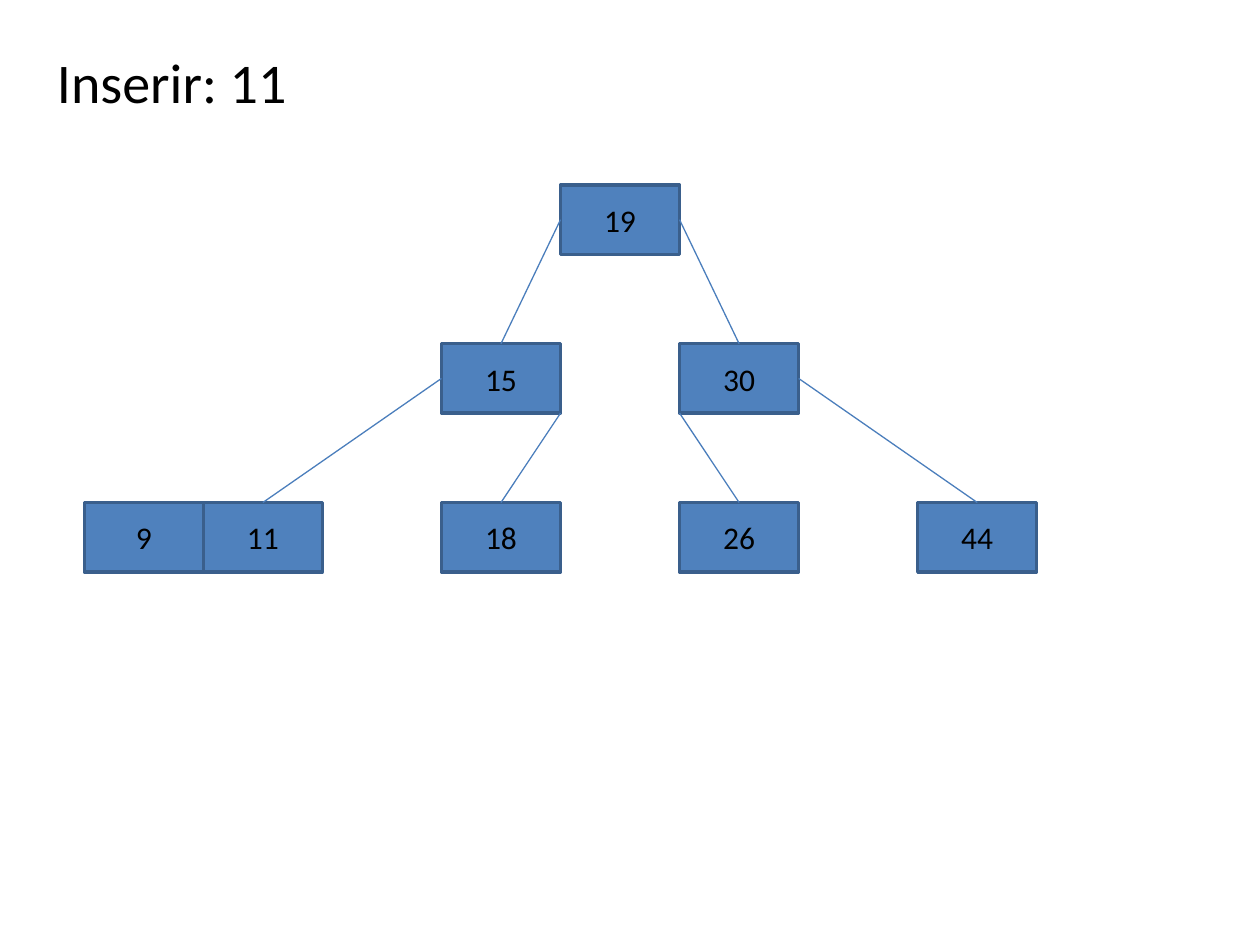
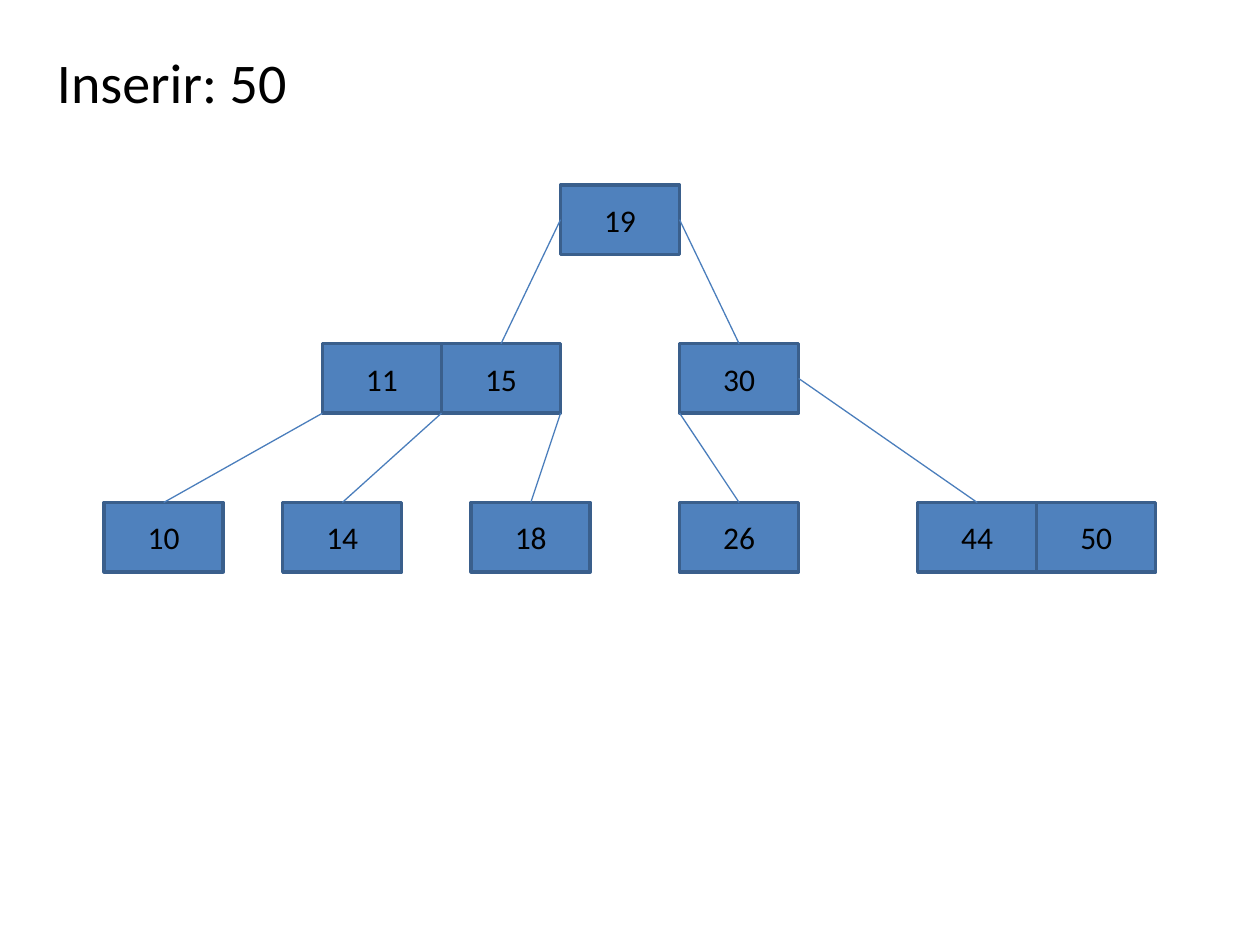
from lxml.etree import SubElement
from pptx import Presentation
from pptx.dml.color import RGBColor
from pptx.enum.shapes import MSO_CONNECTOR, MSO_SHAPE
from pptx.enum.text import MSO_ANCHOR, PP_ALIGN
from pptx.oxml.ns import qn
from pptx.util import Cm, Pt

BLACK = RGBColor(0, 0, 0)
NODE_FILL = RGBColor(0x4F, 0x81, 0xBD)
NODE_LINE = RGBColor(0x3A, 0x5F, 0x8C)
EDGE_LINE = RGBColor(0x4B, 0x7E, 0xBC)
FONT = "Calibri"

KEY_W, KEY_H, LEVEL_GAP = 2.4, 1.4, 3.2
TITLE_BOX = (0.9, 0.74, 16.8, 1.8)
TREE_ORIGIN = (1.7, 3.73)
SIDES = {"left": (0, 0.5, 1), "right": (1, 0.5, 3),
         "bottom left": (0, 1, None), "bottom right": (1, 1, None)}


def write(shape, text, size, align):
    """Put one line of text in a shape, centred vertically."""
    tf = shape.text_frame
    tf.word_wrap = True
    tf.vertical_anchor = MSO_ANCHOR.MIDDLE
    p = tf.paragraphs[0]
    p.text = text
    p.alignment = align
    p.font.name, p.font.size, p.font.color.rgb = FONT, Pt(size), BLACK


def add_title(s, box, text):
    """Write the slide title in the given box."""
    write(s.shapes.add_textbox(*map(Cm, box)), text, 32, PP_ALIGN.LEFT)


def add_key(s, x, y, key):
    """Draw one key of a tree node."""
    sp = s.shapes.add_shape(MSO_SHAPE.RECTANGLE, Cm(x), Cm(y), Cm(KEY_W), Cm(KEY_H))
    sp.shadow.inherit = False
    sp.fill.solid()
    sp.fill.fore_color.rgb = NODE_FILL
    sp.line.color.rgb = NODE_LINE
    sp.line.width = Pt(2)
    write(sp, str(key), 18, PP_ALIGN.CENTER)
    return sp


def add_edge(s, parent, child, side):
    """Join a side or corner of the parent key to the top of the child key."""
    fx, fy, site = SIDES[side]
    edge = s.shapes.add_connector(
        MSO_CONNECTOR.STRAIGHT,
        int(parent.left + fx * parent.width), int(parent.top + fy * parent.height),
        child.left + child.width // 2, child.top)
    if site is not None:
        edge.begin_connect(parent, site)
    edge.end_connect(child, 0)
    edge.line.color.rgb = EDGE_LINE
    edge.line.width = Pt(0.75)
    SubElement(edge._element.spPr, qn("a:effectLst"))


def add_tree(s, origin, levels, edges):
    """Draw a tree from levels of (offset, keys) nodes and its edges."""
    left, top = origin
    keys = {}
    for depth, nodes in enumerate(levels):
        for offset, node in nodes:
            for i, key in enumerate(node):
                keys[key] = add_key(s, left + offset + i * KEY_W,
                                    top + depth * LEVEL_GAP, key)
    for parent, child, side in edges:
        add_edge(s, keys[parent], keys[child], side)


def add_insertion_slide(prs, key, levels, edges):
    """Add a slide that shows the tree after a key is inserted."""
    s = prs.slides.add_slide(prs.slide_layouts[6])
    add_title(s, TITLE_BOX, f"Inserir: {key}")
    add_tree(s, TREE_ORIGIN, levels, edges + SHARED_EDGES)


ROOT = [(4 * KEY_W, [19])]
SHARED_EDGES = [(19, 15, "left"), (19, 30, "right"), (15, 18, "bottom right"),
                (30, 26, "bottom left"), (30, 44, "right")]

prs = Presentation()
prs.slide_width, prs.slide_height = Cm(25.4), Cm(19.05)
add_insertion_slide(
    prs, 11,
    [ROOT,
     [(3 * KEY_W, [15]), (5 * KEY_W, [30])],
     [(0, [9, 11]), (3 * KEY_W, [18]), (5 * KEY_W, [26]), (7 * KEY_W, [44])]],
    [(15, 11, "left")])
add_insertion_slide(
    prs, 50,
    [ROOT,
     [(2 * KEY_W, [11, 15]), (5 * KEY_W, [30])],
     [(0.4, [10]), (4, [14]), (7.8, [18]), (5 * KEY_W, [26]), (7 * KEY_W, [44, 50])]],
    [(11, 10, "bottom left"), (15, 14, "bottom left")])
prs.save("out.pptx")
